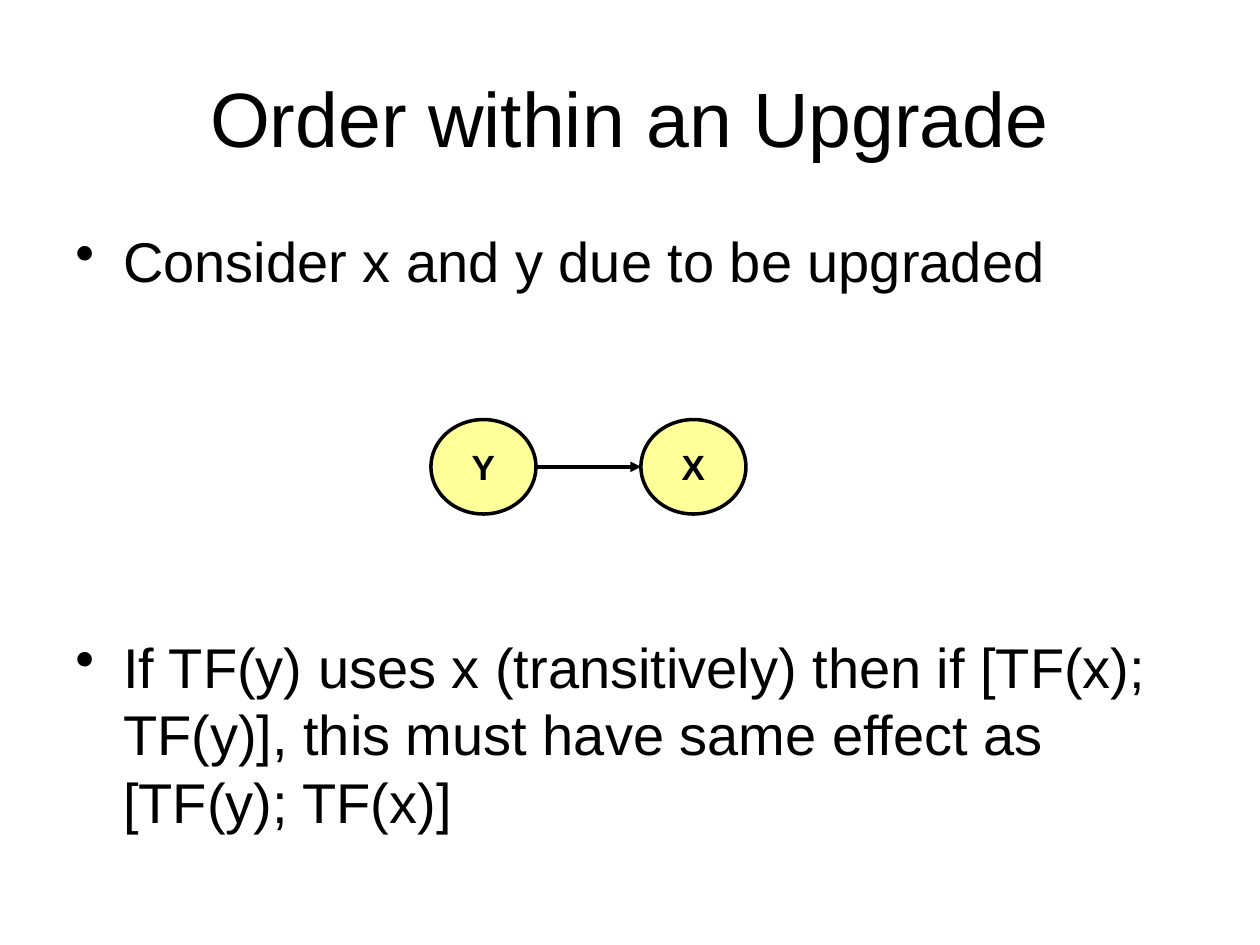
import pptx
import pptx.util
import pptx.dml.color
import pptx.enum.shapes
import pptx.enum.text
import pptx.oxml.ns
import lxml.etree

# Content
TITLE = "Order within an Upgrade"
BULLETS = [  # text, points of space before
    ("Consider x and y due to be upgraded", 0),
    ("If TF(y) uses x (transitively) then if [TF(x); TF(y)], "
     "this must have same effect as [TF(y); TF(x)]", 193.6),
]
NODES = ["Y", "X"]  # each node points to the next

# Style and layout, in inches
COLORS = {"ink": "000000", "node": "FFFF99"}
FONT = "Arial"
WIDTH, HEIGHT = 10, 7.5
MARGIN = WIDTH / 20
NODE_WIDTH, NODE_HEIGHT = WIDTH / 12, HEIGHT / 10
NODE_LEFT, NODE_TOP = 3.42, 3.33
NODE_STEP = 2 * NODE_WIDTH
INDENT = 0.38

Inches, Pt = pptx.util.Inches, pptx.util.Pt
ANCHOR, ALIGN = pptx.enum.text.MSO_ANCHOR, pptx.enum.text.PP_ALIGN


def color(name):
    return pptx.dml.color.RGBColor.from_string(COLORS[name])


def add_child(parent, tag, **attributes):
    return lxml.etree.SubElement(parent, pptx.oxml.ns.qn(tag), attributes)


def add_box(page, top, height, anchor):
    box = page.shapes.add_textbox(Inches(MARGIN), Inches(top),
                                  Inches(WIDTH - 2 * MARGIN), Inches(height))
    box.text_frame.word_wrap = True
    box.text_frame.vertical_anchor = anchor
    return box.text_frame


def write(para, text, size, align, bold=False):
    para.text = text
    para.alignment = align
    para.font.name = FONT
    para.font.size = Pt(size)
    para.font.bold = bold
    para.font.color.rgb = color("ink")


def add_bullet(para):
    properties = para._p.get_or_add_pPr()
    properties.set("marL", str(Inches(INDENT)))
    properties.set("indent", str(-Inches(INDENT)))
    bullet = lxml.etree.Element(pptx.oxml.ns.qn("a:buChar"), char="•")
    properties.find(pptx.oxml.ns.qn("a:defRPr")).addprevious(bullet)


def draw_line(line):
    line.color.rgb = color("ink")
    line.width = Pt(2)


def add_node(page, label, left):
    node = page.shapes.add_shape(
        pptx.enum.shapes.MSO_SHAPE.OVAL, Inches(left), Inches(NODE_TOP),
        Inches(NODE_WIDTH), Inches(NODE_HEIGHT))
    node.shadow.inherit = False
    node.fill.solid()
    node.fill.fore_color.rgb = color("node")
    draw_line(node.line)
    node.text_frame.vertical_anchor = ANCHOR.MIDDLE
    write(node.text_frame.paragraphs[0], label, 20, ALIGN.CENTER, bold=True)


def add_arrow(page, start, end, y):
    arrow = page.shapes.add_connector(
        pptx.enum.shapes.MSO_CONNECTOR.STRAIGHT,
        Inches(start), Inches(y), Inches(end), Inches(y))
    draw_line(arrow.line)
    add_child(arrow.line._get_or_add_ln(), "a:tailEnd", type="triangle")
    add_child(arrow._element.spPr, "a:effectLst")


def main():
    deck = pptx.Presentation()
    deck.slide_width, deck.slide_height = Inches(WIDTH), Inches(HEIGHT)
    page = deck.slides.add_slide(deck.slide_layouts[6])

    # Title
    title = add_box(page, 0.3, HEIGHT / 6, ANCHOR.MIDDLE)
    write(title.paragraphs[0], TITLE, 44, ALIGN.CENTER)

    # Bullets, with room for the diagram between them
    body = add_box(page, 1.75, 4.95, ANCHOR.TOP)
    for index, (text, space) in enumerate(BULLETS):
        para = body.add_paragraph() if index else body.paragraphs[0]
        write(para, text, 32, ALIGN.LEFT)
        para.line_spacing = Pt(38.4)
        para.space_before = Pt(space)
        add_bullet(para)

    # Dependency diagram
    lefts = [NODE_LEFT + index * NODE_STEP for index in range(len(NODES))]
    for label, left in zip(NODES, lefts):
        add_node(page, label, left)
    for left, following in zip(lefts, lefts[1:]):
        add_arrow(page, left + NODE_WIDTH, following, NODE_TOP + NODE_HEIGHT / 2)

    deck.save("out.pptx")


if __name__ == "__main__":
    main()
